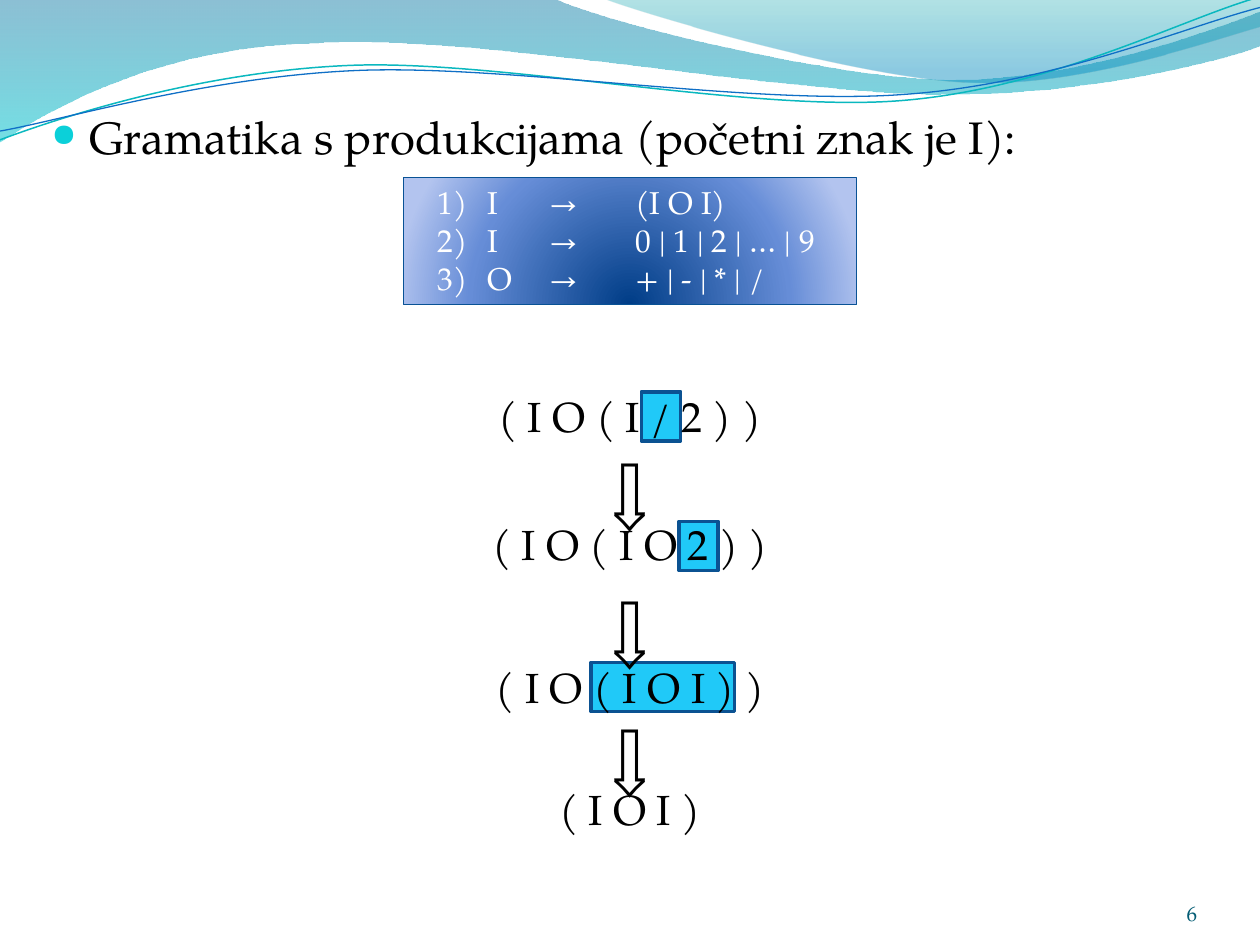
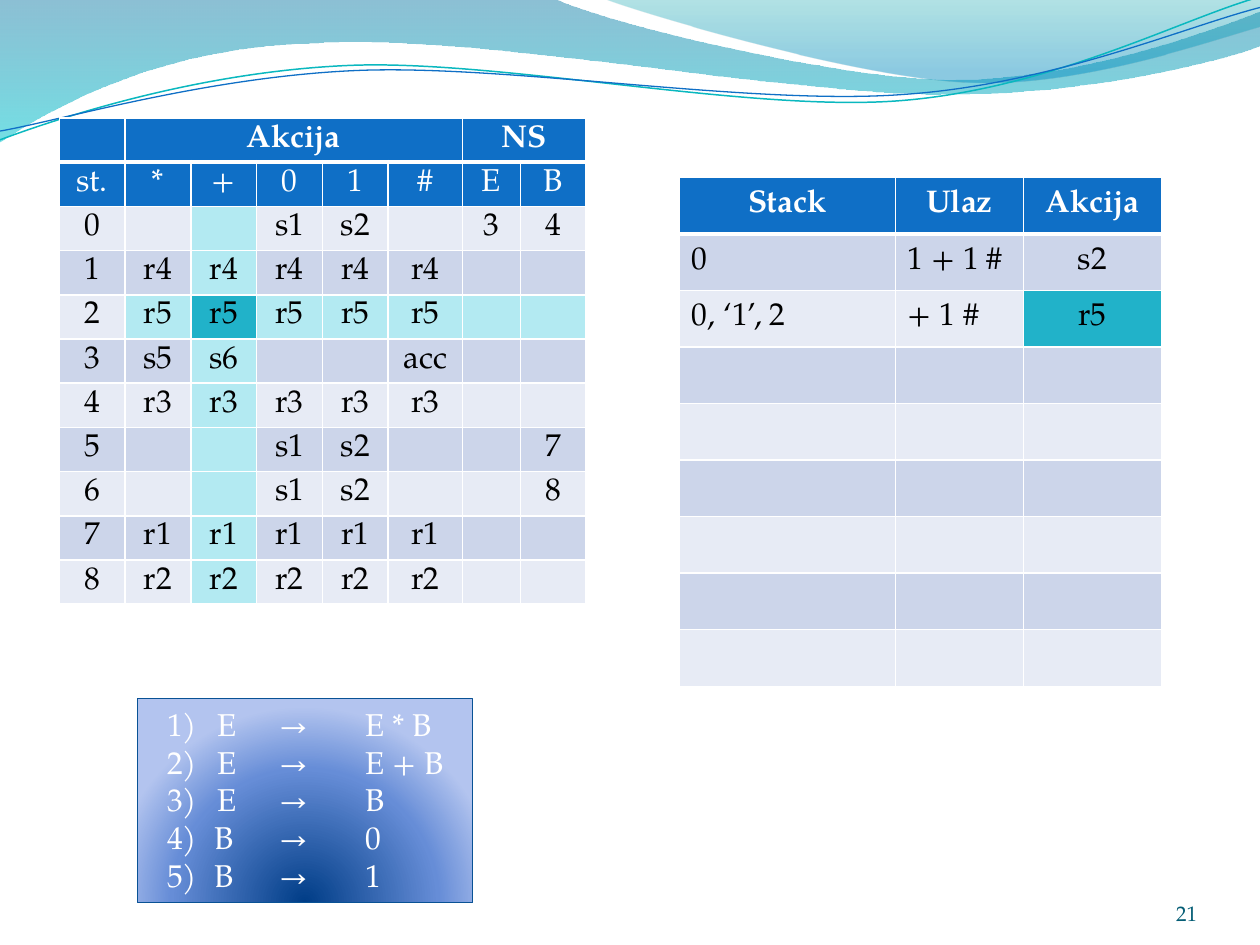
import math

import pptx
import pptx.dml.color
import pptx.enum.shapes
import pptx.enum.text
import pptx.oxml
import pptx.oxml.ns
import pptx.util

Pt = pptx.util.Pt
ALIGN = pptx.enum.text.PP_ALIGN
ANCHOR = pptx.enum.text.MSO_ANCHOR
NS = pptx.oxml.ns.nsdecls("a")

COLORS = {
    "text": "000000", "white": "FFFFFF", "number": "045D75", "bullet": "0BD0D9",
    "teal line": "0AB8BF", "blue": "0F6FC6", "mark": "20C9F8", "mark edge": "0B5292",
    "panel edge": "095295", "dark band": "CCD5EA", "light band": "E7EBF5",
    "tint": "B3EAF2", "current": "21B2C9",
}
WAVES = [
    ([(0, 0), (316.8, -0.7), (342.7, 12.2, 478.1, 45.4, 545.8, 45.4),
      (614.2, 45.4, 689.8, 18.7, 720, 6.5), (720.7, 25.9),
      (707.8, 31.7, 626.4, 54.7, 537.1, 54), (447.8, 54, 275, 20.2, 185, 24.5),
      (92.9, 25.9, 33.1, 59.8, -0.7, 81.4), (0, 0)],
     [(0, "0074A1", 45), (100, "00C6CF", 55)]),
    ([(344.9, -0.7), (366.5, 7.9, 491, 44.6, 553.7, 46.8),
      (616.3, 49.7, 691.9, 23, 720, 15.1), (720, 0), (344.9, -0.7)],
     [(0, "00A1A9", 30), (80, "008BBF", 45)]),
]
RIPPLE_TILT = 357.3
RIPPLES = [
    ([(0, 79.9), (34.6, 67, 113.8, 41, 199.4, 37.4),
      (284.4, 33.8, 427, 64.1, 513.4, 57.6), (599.8, 51.1, 675.4, 10.8, 718.6, -1.4)],
     (359.3, 41.4), "teal line", 0.85),
    ([(0, 74.9), (33.8, 69.1, 118.1, 43.9, 203.8, 40.3),
      (290.2, 36.7, 429.8, 60.5, 516.2, 54), (601.9, 48.2, 677.5, 15.1, 720, 4.3)],
     (359.7, 42.5), "blue", 0.75),
]
PANEL_STOPS = [(0, "003D87", 100), (68, "668DD7", 100), (100, "B3C4EF", 100)]
DOWNWARD = '<a:lin ang="5400000" scaled="0"/>'
FROM_BOTTOM = ('<a:path path="circle"><a:fillToRect l="50000" t="130000" '
               'r="50000" b="-30000"/></a:path>')
GRAMMAR_TABS = (28.8, 64, 113.3)


def rgb(color):
    return pptx.dml.color.RGBColor.from_string(COLORS[color])


def turn(point, centre, degrees):
    angle = math.radians(degrees)
    dx, dy = point[0] - centre[0], point[1] - centre[1]
    return (centre[0] + dx * math.cos(angle) - dy * math.sin(angle),
            centre[1] + dx * math.sin(angle) + dy * math.cos(angle))


class Deck:
    font = "TeX Gyre Pagella"

    def __init__(self):
        self.presentation = pptx.Presentation()
        self.presentation.slide_width = Pt(720)
        self.presentation.slide_height = Pt(540)

    def new_slide(self, number):
        self.slide = self.presentation.slides.add_slide(self.presentation.slide_layouts[6])
        for segments, stops in WAVES:
            wave = self.outline(segments, True)
            self.gradient(wave, stops, DOWNWARD)
            wave.line.fill.background()
        for segments, centre, color, width in RIPPLES:
            ripple = self.outline(segments, False, centre, RIPPLE_TILT)
            ripple.fill.background()
            self.edge(ripple, color, width)
        self.text(number, 624, 500.4, 60, 28.8, 12, "number", ALIGN.RIGHT, ANCHOR.BOTTOM, inset=0)

    def outline(self, segments, closed, centre=(0, 0), tilt=0):
        points = [turn(segment[i:i + 2], centre, -tilt)
                  for segment in segments for i in range(0, len(segment), 2)]
        start, *rest = [(Pt(x), Pt(y)) for x, y in points]
        builder = self.slide.shapes.build_freeform(*start, scale=1.0)
        builder.add_line_segments(rest, close=closed)
        shape = builder.convert_to_shape()
        shape.rotation = tilt
        shape.shadow.inherit = False
        strokes = iter(shape.element.xpath(".//a:lnTo"))
        for segment in segments[1:]:
            stroke = next(strokes)
            if len(segment) == 6:
                curve = pptx.oxml.parse_xml(f"<a:cubicBezTo {NS}/>")
                stroke.addprevious(curve)
                for control in (stroke, next(strokes), next(strokes)):
                    curve.append(control[0])
                    control.getparent().remove(control)
        return shape

    def gradient(self, shape, stops, direction):
        stop_xml = "".join(
            f'<a:gs pos="{position * 1000}"><a:srgbClr val="{color}">'
            f'<a:alpha val="{alpha * 1000}"/></a:srgbClr></a:gs>'
            for position, color, alpha in stops)
        shape.element.spPr.insert(2, pptx.oxml.parse_xml(
            f'<a:gradFill {NS} rotWithShape="1"><a:gsLst>{stop_xml}</a:gsLst>'
            f'{direction}</a:gradFill>'))

    def edge(self, shape, color, width):
        shape.line.color.rgb = rgb(color)
        shape.line.width = Pt(width)

    def rectangle(self, left, top, width, height):
        shape = self.slide.shapes.add_shape(
            pptx.enum.shapes.MSO_SHAPE.RECTANGLE, Pt(left), Pt(top), Pt(width), Pt(height))
        shape.shadow.inherit = False
        return shape

    def format(self, paragraph, size, color, align=ALIGN.LEFT, bold=False):
        paragraph.alignment = align
        for run in paragraph.runs:
            run.font.name = self.font
            run.font.size = Pt(size)
            run.font.bold = bold
            run.font.color.rgb = rgb(color)

    def text(self, words, left, top, width, height, size, color="text", align=ALIGN.LEFT,
             anchor=ANCHOR.TOP, inset=None, wrap=True):
        box = self.slide.shapes.add_textbox(Pt(left), Pt(top), Pt(width), Pt(height))
        frame = box.text_frame
        frame.word_wrap = wrap
        frame.vertical_anchor = anchor
        if inset is not None:
            frame.margin_left = frame.margin_right = Pt(inset)
            frame.margin_top = frame.margin_bottom = Pt(inset)
        frame.text = words
        self.format(frame.paragraphs[0], size, color, align)
        return frame

    def hang(self, paragraph, indent, *marks):
        properties = paragraph._p.get_or_add_pPr()
        if indent:
            properties.set("marL", str(Pt(indent)))
            properties.set("indent", str(-Pt(indent)))
        for tag, content in marks:
            name = tag.split()[0]
            properties.append(pptx.oxml.parse_xml(f"<a:{tag} {NS}>{content}</a:{name}>"))

    def bullet(self, words, left, top, width, height, drop):
        frame = self.text(words, left, top, width, height, 26)
        frame.margin_top = Pt(drop)
        self.hang(frame.paragraphs[0], 21.6,
                  ("buClr", f'<a:srgbClr val="{COLORS["bullet"]}"/>'),
                  ('buSzPct val="70000"', ""), ('buChar char="●"', ""))

    def grammar(self, rules, left, top, width, height, inset, numbered=()):
        panel = self.rectangle(left, top, width, height)
        self.gradient(panel, PANEL_STOPS, FROM_BOTTOM)
        self.edge(panel, "panel edge", 0.75)
        frame = panel.text_frame
        frame.word_wrap = True
        frame.vertical_anchor = ANCHOR.TOP
        frame.margin_left, frame.margin_right = Pt(inset), 0
        tabs = ("tabLst", "".join(f'<a:tab pos="{Pt(stop)}" algn="l"/>' for stop in GRAMMAR_TABS))
        first = frame.paragraphs[0]
        first.text = "\v".join(f"{index}) \t{head}\t→\t{body}"
                               for index, (head, body) in enumerate(rules, 1))
        self.hang(first, 0, tabs)
        for head, body in numbered:
            rule = frame.add_paragraph()
            rule.text = f"{head}\t→\t{body}"
            start = len(rules) + 1
            self.hang(rule, 27, (f'buAutoNum type="arabicParenR" startAt="{start}"', ""), tabs)
        for paragraph in frame.paragraphs:
            self.format(paragraph, 18, "white")

    def mark(self, left, top, width):
        box = self.rectangle(left, top, width, 28.1)
        box.fill.solid()
        box.fill.fore_color.rgb = rgb("mark")
        self.edge(box, "mark edge", 2)

    def borders(self, cell, widths):
        properties = cell._tc.get_or_add_tcPr()
        for index, (side, width) in enumerate(zip("LRTB", widths)):
            properties.insert(index, pptx.oxml.parse_xml(
                f'<a:ln{side} {NS} w="{Pt(width)}"><a:solidFill>'
                f'<a:srgbClr val="{COLORS["white"]}"/></a:solidFill></a:ln{side}>'))

    def table(self, rows, left, top, widths, row_height, headers=1, spans=(), accents=None,
              left_columns=()):
        accents = accents or {}
        grid = self.slide.shapes.add_table(
            len(rows), len(widths), Pt(left), Pt(top), Pt(sum(widths)),
            Pt(row_height * len(rows))).table
        grid.first_row = grid.horz_banding = False
        for column, width in zip(grid.columns, widths):
            column.width = Pt(width)
        for r, values in enumerate(rows):
            grid.rows[r].height = Pt(row_height)
            for c, value in enumerate(values):
                cell = grid.cell(r, c)
                cell.text = value
                cell.vertical_anchor = ANCHOR.MIDDLE
                cell.margin_top = cell.margin_bottom = Pt(1.5)
                header = r < headers
                band = "blue" if header else "dark band" if r % 2 else "light band"
                cell.fill.solid()
                cell.fill.fore_color.rgb = rgb(accents.get((r, c), band))
                align = ALIGN.LEFT if c in left_columns and not header else ALIGN.CENTER
                self.format(cell.text_frame.paragraphs[0], 18,
                            "white" if header else "text", align, r == 0)
                self.borders(cell, (1, 1, 3 if r == 1 else 1, 3 if r == 0 else 1))
        for first, last in spans:
            grid.cell(0, first).merge(grid.cell(0, last))


def derivation_slide(deck):
    deck.new_slide("6")
    for left, top, width in ((337.7, 378.5, 82.1), (388.1, 297.9, 22.3), (366.5, 223.9, 22.5)):
        deck.mark(left, top, width)
    deck.bullet("Gramatika s produkcijama (početni znak je I):", 22.3, 22.3, 675.4, 495.4, 40.2)
    deck.grammar([("I", "(I O I)"), ("I", "0 | 1 | 2 | … | 9"), ("O", "+ | - | * | /")],
                 230.4, 101.3, 259, 72.7, 19.5)
    steps = (("( I O ( I / 2 ) )", 219.6), ("( I O ( I O 2 ) )", 292.5),
             ("( I O ( I O I ) )", 374.4), ("( I O I )", 444.2))
    for form, top in steps:
        deck.text(form, 225, top, 270, 36, 24, align=ALIGN.CENTER)
    for top in (247.7, 326.2, 399.6):
        deck.text("⇩", 334.8, top, 50.4, 60.5, 44, align=ALIGN.CENTER, wrap=False)


def parsing_slide(deck):
    deck.new_slide("21")
    reduce_rows = {1: "r4", 2: "r5", 4: "r3", 7: "r1", 8: "r2"}
    other_rows = {
        0: ["", "", "s1", "s2", "", "3", "4"],
        3: ["s5", "s6", "", "", "acc", "", ""],
        5: ["", "", "s1", "s2", "", "", "7"],
        6: ["", "", "s1", "s2", "", "", "8"],
    }
    states = [[str(state)] + (other_rows.get(state) or [reduce_rows[state]] * 5 + ["", ""])
              for state in range(9)]
    accents = {(row, 2): "tint" for row in range(2, 11)}
    accents.update({(4, column): "tint" for column in range(1, 8)})
    accents[4, 2] = "current"
    deck.table([["", "Akcija", "", "", "", "", "NS", ""],
                ["st.", "*", "+", "0", "1", "#", "E", "B"]] + states,
               33.9, 67.4, [37.6] * 5 + [42.4, 33.1, 37.6], 25.27, headers=2,
               spans=((1, 5), (6, 7)), accents=accents)
    deck.grammar([("E", "E * B"), ("E", "E + B"), ("E", "B")], 78.5, 399.2, 191.5, 116.6, 17,
                 numbered=[("B", "0"), ("B", "1")])
    deck.table([["Stack", "Ulaz", "Akcija"], ["0", "1 + 1 #", "s2"], ["0, ‘1’, 2", "+ 1 #", "r5"]]
               + [[""] * 3] * 6,
               388.2, 101.3, [123.4, 73.2, 79], 32.33,
               accents={(2, 2): "current"}, left_columns=(0, 1))


def main():
    deck = Deck()
    derivation_slide(deck)
    parsing_slide(deck)
    deck.presentation.save("out.pptx")


if __name__ == "__main__":
    main()
